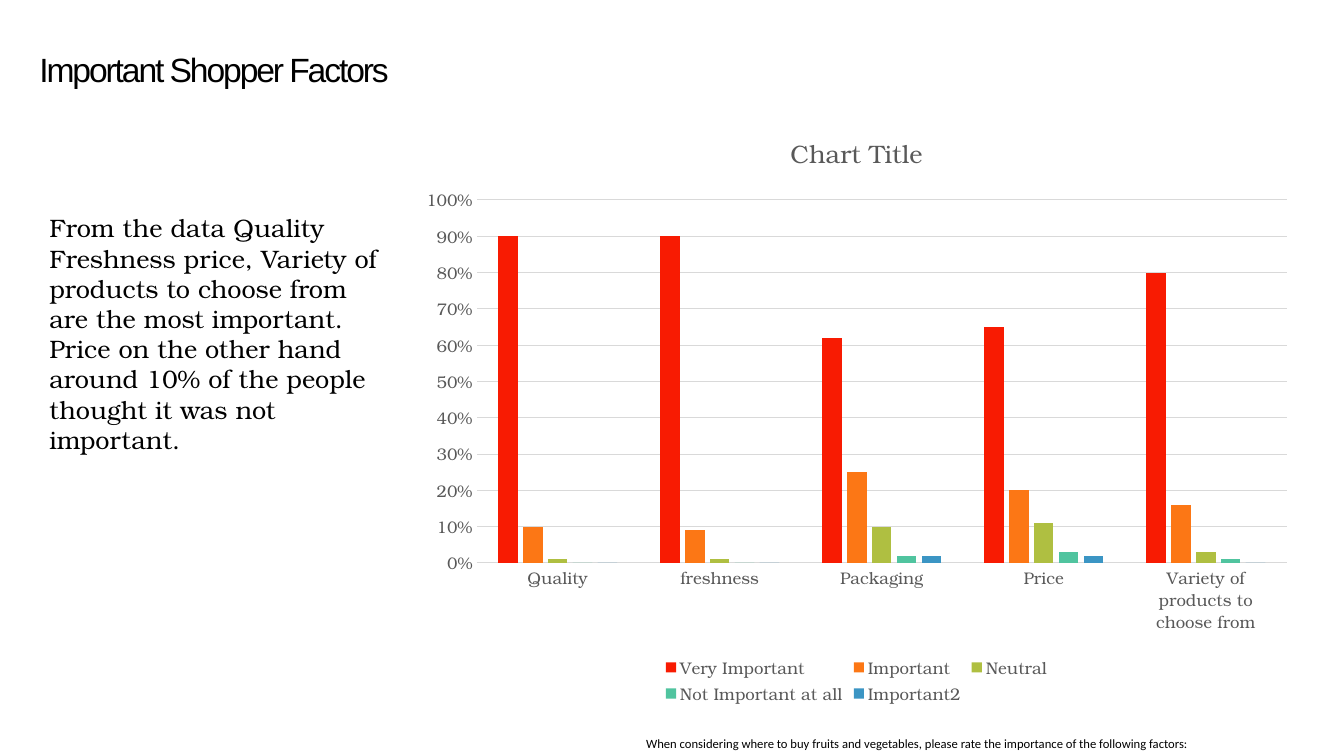
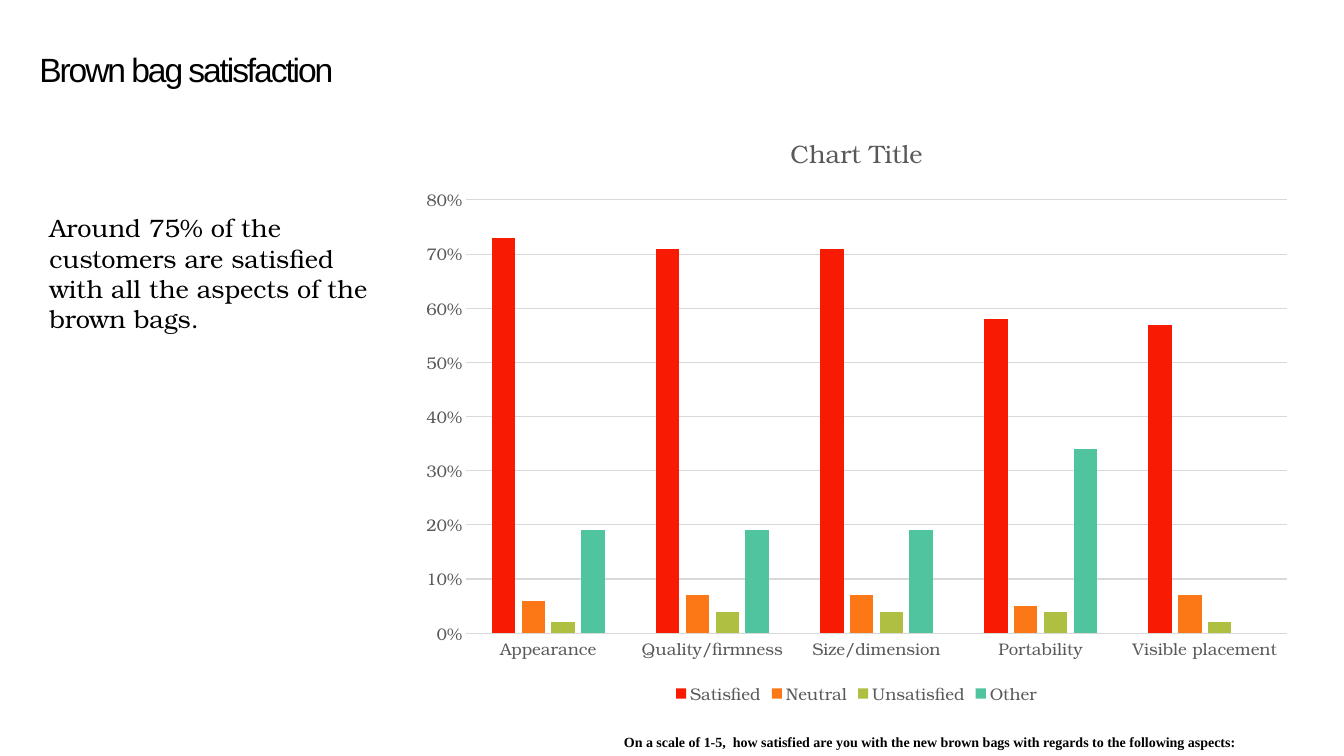
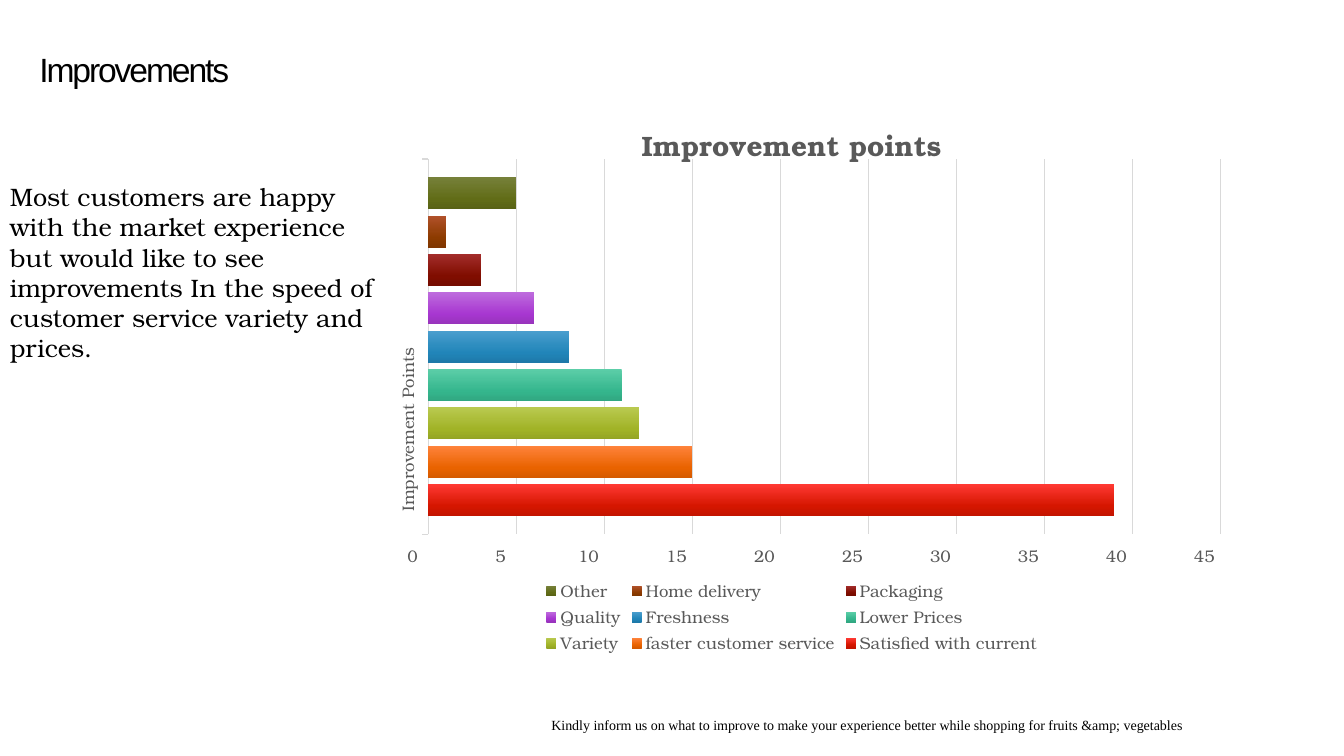
import copy
import dataclasses

import pptx
import pptx.chart.data
import pptx.dml.color
import pptx.enum.chart
import pptx.enum.text
import pptx.oxml
import pptx.oxml.ns
import pptx.util

Inches = pptx.util.Inches
Pt = pptx.util.Pt
RGB = pptx.dml.color.RGBColor.from_string
qn = pptx.oxml.ns.qn
ChartKind = pptx.enum.chart.XL_CHART_TYPE
Tick = pptx.enum.chart.XL_TICK_MARK
Anchor = pptx.enum.text.MSO_ANCHOR


@dataclasses.dataclass(frozen=True)
class Theme:
    ink: str = "000000"
    label: str = "595959"
    rule: str = "D9D9D9"
    series: tuple = ("F81B02", "FC7715", "AFBF41", "50C49F", "3B95C4")
    gradients: tuple = (
        ("FF3933", "D51600", "C31400"),
        ("FF833B", "E96300", "D55A00"),
        ("B9C94F", "A1B327", "94A424"),
        ("5CCEA8", "35B68D", "31A781"),
        ("4A9ECE", "2185B9", "1E79A9"),
        ("BE6BDD", "A736D0", "9834BC"),
        ("A32D2B", "800D00", "750C00"),
        ("B1512A", "8C3B00", "803600"),
        ("768039", "616C17", "596315"),
    )
    gradient_positions: tuple = (0, 0.69, 1)
    title_font: str = "Arial"
    body_font: str = "TeX Gyre Bonum"
    title_size: int = 24
    body_size: int = 18
    chart_size: int = 10
    label_size: int = 12


theme = Theme()


def add_text(page, text, at, *, font=theme.body_font, size=theme.body_size, bold=False,
             spacing=None, tracking=None, inset=None, anchor=Anchor.TOP):
    """Add one left-aligned paragraph; tracking is in points."""
    frame = page.shapes.add_textbox(*map(Inches, at)).text_frame
    frame.word_wrap = True
    frame.vertical_anchor = anchor
    if inset is not None:
        frame.margin_left = frame.margin_right = Inches(inset)
        frame.margin_top = frame.margin_bottom = Inches(inset)
    para = frame.paragraphs[0]
    if spacing:
        para.line_spacing = spacing
    span = para.add_run()
    span.text = text
    span.font.name = font
    span.font.size = Pt(size)
    span.font.bold = bold
    span.font.color.rgb = RGB(theme.ink)
    if tracking:
        span._r.get_or_add_rPr().set("spc", str(int(tracking * 100)))


def set_chart_font(font, size, bold=False):
    font.name = theme.body_font
    font.size = Pt(size)
    font.bold = bold
    font.color.rgb = RGB(theme.label)


column_style = dict(
    kind=ChartKind.COLUMN_CLUSTERED, chart_at=(4.05, 1.1, 8.89, 5.93),
    chart_title="Chart Title", chart_title_size=18, chart_title_bold=False,
    number_format="0%", step=0.1, tick=Tick.NONE, axis_width=0.75, gap=219, overlap=-27,
    gradient=False, plot_area=None, label_turn=None)
bar_style = dict(
    kind=ChartKind.BAR_CLUSTERED, chart_at=(3.39, 0.98, 8.97, 5.55),
    chart_title="Improvement points", chart_title_size=20, chart_title_bold=True,
    number_format="#\\ ?/?", step=5, tick=Tick.OUTSIDE, axis_width=1, gap=115, overlap=-20,
    gradient=True, plot_area=dict(x=0.096, y=0.108, w=0.88, h=0.671), label_turn=-90)

slides = [
    dict(
        column_style,
        title="Important Shopper Factors",
        body="From the data Quality Freshness price, Variety of products to choose from are "
             "the most important. Price on the other hand around 10% of the people thought "
             "it was not important.",
        body_at=(0.39, 2.06, 3.48, 2.22),
        question="When considering where to buy fruits and vegetables, please rate the "
                 "importance of the following factors:",
        question_at=(6.31, 7.24, 7.02, 0.26),
        question_style=dict(font="Calibri", size=9, spacing=1.07),
        categories=["Quality", "freshness", "Packaging", "Price",
                    "Variety of products to choose from"],
        series={
            "Very Important": [0.9, 0.9, 0.62, 0.65, 0.8],
            "Important": [0.1, 0.09, 0.25, 0.2, 0.16],
            "Neutral": [0.01, 0.01, 0.1, 0.11, 0.03],
            "Not Important at all": [0, 0, 0.02, 0.03, 0.01],
            "Important2": [0, 0, 0.02, 0.02, 0],
        },
        top_value=1),
    dict(
        column_style,
        title="Brown bag satisfaction",
        body="Around 75% of the customers are satisfied with all the aspects of the "
             "brown bags.",
        body_at=(0.39, 2.06, 3.48, 1.31),
        question="On a scale of 1-5,  how satisfied are you with the new brown bags with "
                 "regards to the following aspects:",
        question_at=(6.09, 7.22, 7.24, 0.28),
        question_style=dict(font="Times New Roman", size=10, bold=True, spacing=1.07),
        categories=["Appearance", "Quality/firmness", "Size/dimension", "Portability",
                    "Visible placement"],
        series={
            "Satisfied": [0.73, 0.71, 0.71, 0.58, 0.57],
            "Neutral": [0.06, 0.07, 0.07, 0.05, 0.07],
            "Unsatisfied": [0.02, 0.04, 0.04, 0.04, 0.02],
            "Other": [0.19, 0.19, 0.19, 0.34, None],
        },
        top_value=0.8),
    dict(
        bar_style,
        title="Improvements",
        body="Most customers are happy with the market experience but would like to see "
             "improvements In the speed of customer service variety and prices.",
        body_at=(0, 1.75, 3.83, 1.92),
        question="Kindly inform us on what to improve to make your experience better while "
                 "shopping for fruits &amp; vegetables",
        question_at=(5.37, 7.06, 7.74, 0.27),
        question_style=dict(font="Times New Roman", size=10),
        categories=["Improvement Points"],
        series={
            "Satisfied with current": [39],
            "faster customer service": [15],
            "Variety": [12],
            "Lower Prices": [11],
            "Freshness": [8],
            "Quality": [6],
            "Packaging": [3],
            "Home delivery": [1],
            "Other": [5],
        },
        top_value=45),
]

deck = pptx.Presentation()
deck.slide_width = Inches(13.33)
deck.slide_height = Inches(7.5)
blank_layout = deck.slide_layouts[6]

for content in slides:
    page = deck.slides.add_slide(blank_layout)
    add_text(page, content["title"], (0.39, 0.47, 12.54, 0.44), font=theme.title_font,
             size=theme.title_size, tracking=-1.5, inset=0, anchor=Anchor.MIDDLE)

    chart_data = pptx.chart.data.CategoryChartData(number_format=content["number_format"])
    chart_data.categories = content["categories"]
    for name, values in content["series"].items():
        chart_data.add_series(name, values)
    chart = page.shapes.add_chart(
        content["kind"], *map(Inches, content["chart_at"]), chart_data).chart
    set_chart_font(chart.font, theme.chart_size)

    chart.has_title = True
    chart_title = chart.chart_title.text_frame
    chart_title.text = content["chart_title"]
    set_chart_font(chart_title.paragraphs[0].runs[0].font,
                   content["chart_title_size"], content["chart_title_bold"])

    chart.has_legend = True
    chart.legend.position = pptx.enum.chart.XL_LEGEND_POSITION.BOTTOM
    chart.legend.include_in_layout = False
    set_chart_font(chart.legend.font, theme.label_size)

    category_axis, value_axis = chart.category_axis, chart.value_axis
    for axis in (category_axis, value_axis):
        axis.major_tick_mark = content["tick"]
        axis.minor_tick_mark = Tick.NONE
        set_chart_font(axis.tick_labels.font, theme.label_size)
    category_axis.format.line.color.rgb = RGB(theme.rule)
    category_axis.format.line.width = Pt(content["axis_width"])
    if content["label_turn"]:
        label_body = category_axis._element.find(qn("c:txPr")).find(qn("a:bodyPr"))
        label_body.set("rot", str(content["label_turn"] * 60000))
        label_body.set("vert", "horz")

    value_axis.minimum_scale = 0
    value_axis.maximum_scale = content["top_value"]
    value_axis.major_unit = content["step"]
    value_axis.tick_labels.number_format = content["number_format"]
    value_axis.tick_labels.number_format_is_linked = False
    value_axis.format.line.fill.background()
    value_axis.has_major_gridlines = True
    gridline = value_axis.major_gridlines.format.line
    gridline.color.rgb = RGB(theme.rule)
    gridline.width = Pt(0.75)

    plot = chart.plots[0]
    plot.vary_by_categories = False
    plot.gap_width = content["gap"]
    plot.overlap = content["overlap"]
    for index, series in enumerate(plot.series):
        series.invert_if_negative = False
        fill = series.format.fill
        if content["gradient"]:
            fill.gradient()
            fill.gradient_angle = 270
            stop_list = next(series._element.iter(qn("a:gsLst")))
            stop_list.append(copy.deepcopy(stop_list[0]))
            for stop, position, color in zip(fill.gradient_stops, theme.gradient_positions,
                                             theme.gradients[index]):
                stop.position = position
                stop.color.rgb = RGB(color)
        else:
            fill.solid()
            fill.fore_color.rgb = RGB(theme.series[index])

    if content["plot_area"]:
        area = next(chart._chartSpace.iter(qn("c:plotArea")))
        for old_layout in area.findall(qn("c:layout")):
            area.remove(old_layout)
        modes = "".join(f'<c:{side}Mode val="edge"/>' for side in "xy")
        sizes = "".join(f'<c:{side} val="{share}"/>'
                        for side, share in content["plot_area"].items())
        area.insert(0, pptx.oxml.parse_xml(
            f'<c:layout {pptx.oxml.ns.nsdecls("c")}><c:manualLayout>'
            f'<c:layoutTarget val="inner"/>{modes}{sizes}</c:manualLayout></c:layout>'))

    add_text(page, content["question"], content["question_at"], **content["question_style"])
    add_text(page, content["body"], content["body_at"])

deck.save("out.pptx")
